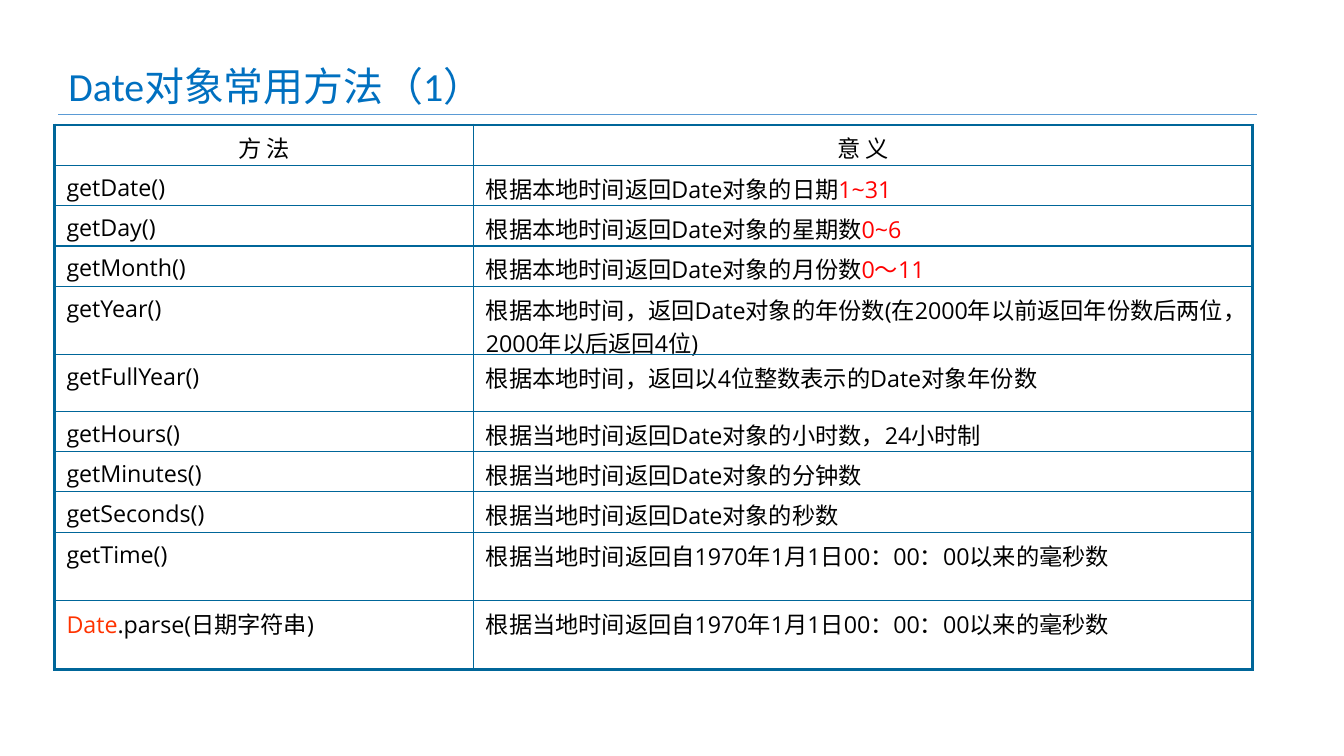
from dataclasses import dataclass

from lxml import etree
from pptx import Presentation
from pptx.dml.color import RGBColor
from pptx.enum.shapes import MSO_CONNECTOR
from pptx.enum.text import PP_ALIGN
from pptx.oxml.ns import qn
from pptx.util import Inches, Pt

CENTER, LEFT = PP_ALIGN.CENTER, PP_ALIGN.LEFT
STRAIGHT = MSO_CONNECTOR.STRAIGHT


@dataclass(frozen=True)
class Theme:
    title: str = "0070C0"
    rule: str = "5B9BD5"
    grid: str = "006699"
    text: str = "000000"
    value: str = "FF0000"
    keyword: str = "FF3300"
    title_font: str = "Calibri"
    body_font: str = "Open Sans"
    title_size: float = 28.5
    body_size: float = 16.6
    outer_line: float = 2.25
    inner_line: float = 1


T = Theme()


def add_text(tf, runs, size=T.body_size, font=T.body_font, align=LEFT, before=0, spacing=1.0):
    """Fill the first paragraph with (text, colour) runs."""
    p = tf.paragraphs[0]
    p.alignment, p.space_before, p.line_spacing = align, Pt(before), spacing
    for text, color in runs:
        r = p.add_run()
        r.text = text
        r.font.size, r.font.name = Pt(size), font
        r.font.color.rgb = RGBColor.from_string(color)


def add_border(cell, side, width):
    ln = etree.SubElement(cell._tc.get_or_add_tcPr(), qn(f"a:ln{side}"), w=str(Pt(width)))
    fill = etree.SubElement(ln, qn("a:solidFill"))
    etree.SubElement(fill, qn("a:srgbClr"), val=T.grid)


prs = Presentation()
prs.slide_width, prs.slide_height = Inches(13.33), Inches(7.5)
s = prs.slides.add_slide(prs.slide_layouts[6])

# Title and rule
tf = s.shapes.add_textbox(Inches(0.58), Inches(0.47), Inches(8.8), Inches(0.68)).text_frame
tf.word_wrap = True
add_text(tf, [("Date对象常用方法（1）", T.title)], size=T.title_size, font=T.title_font, spacing=1.2)

rule = s.shapes.add_connector(STRAIGHT, Inches(0.58), Inches(1.13), Inches(12.47), Inches(1.13))
rule.line.color.rgb = RGBColor.from_string(T.rule)
rule.line.width = Pt(0.25)
etree.SubElement(rule._element.spPr, qn("a:effectLst"))

# Method table: name, meaning, value range, row height
SINCE_EPOCH = "根据当地时间返回自1970年1月1日00：00：00以来的毫秒数"
methods = [
    ("方 法", "意 义", "", 0.4),
    ("getDate()", "根据本地时间返回Date对象的日期", "1~31", 0.4),
    ("getDay()", "根据本地时间返回Date对象的星期数", "0~6", 0.4),
    ("getMonth()", "根据本地时间返回Date对象的月份数", "0～11", 0.4),
    ("getYear()", "根据本地时间，返回Date对象的年份数(在2000年以前返回年份数后两位，2000年以后返回4位)", "", 0.68),
    ("getFullYear()", "根据本地时间，返回以4位整数表示的Date对象年份数", "", 0.56),
    ("getHours()", "根据当地时间返回Date对象的小时数，24小时制", "", 0.4),
    ("getMinutes()", "根据当地时间返回Date对象的分钟数", "", 0.4),
    ("getSeconds()", "根据当地时间返回Date对象的秒数", "", 0.4),
    ("getTime()", SINCE_EPOCH, "", 0.68),
    ("Date.parse(日期字符串)", SINCE_EPOCH, "", 0.68),
]
col_widths = [4.16, 7.72]
last_row, last_col = len(methods) - 1, len(col_widths) - 1

table = s.shapes.add_table(len(methods), len(col_widths), Inches(0.54), Inches(1.24),
                           Inches(11.88), Inches(5.43)).table
table.first_row = table.horz_banding = False
for column, width in zip(table.columns, col_widths):
    column.width = Inches(width)

for i, (name, meaning, value, height) in enumerate(methods):
    table.rows[i].height = Inches(height)
    name_runs = [(name, T.text)]
    if name.startswith("Date"):
        name_runs = [("Date", T.keyword), (name.removeprefix("Date"), T.text)]
    meaning_runs = [(meaning, T.text)]
    if value:
        meaning_runs.append((value, T.value))

    for j, runs in enumerate([name_runs, meaning_runs]):
        cell = table.cell(i, j)
        cell.margin_left = cell.margin_right = Inches(0.12)
        cell.margin_top = cell.margin_bottom = Inches(0.06)
        add_text(cell.text_frame, runs, align=CENTER if i == 0 else LEFT, before=T.body_size * 0.2)
        outer = {"L": j == 0, "R": j == last_col, "T": i == 0, "B": i == last_row}
        for side, is_outer in outer.items():
            add_border(cell, side, T.outer_line if is_outer else T.inner_line)
        cell.fill.background()

prs.save("out.pptx")
